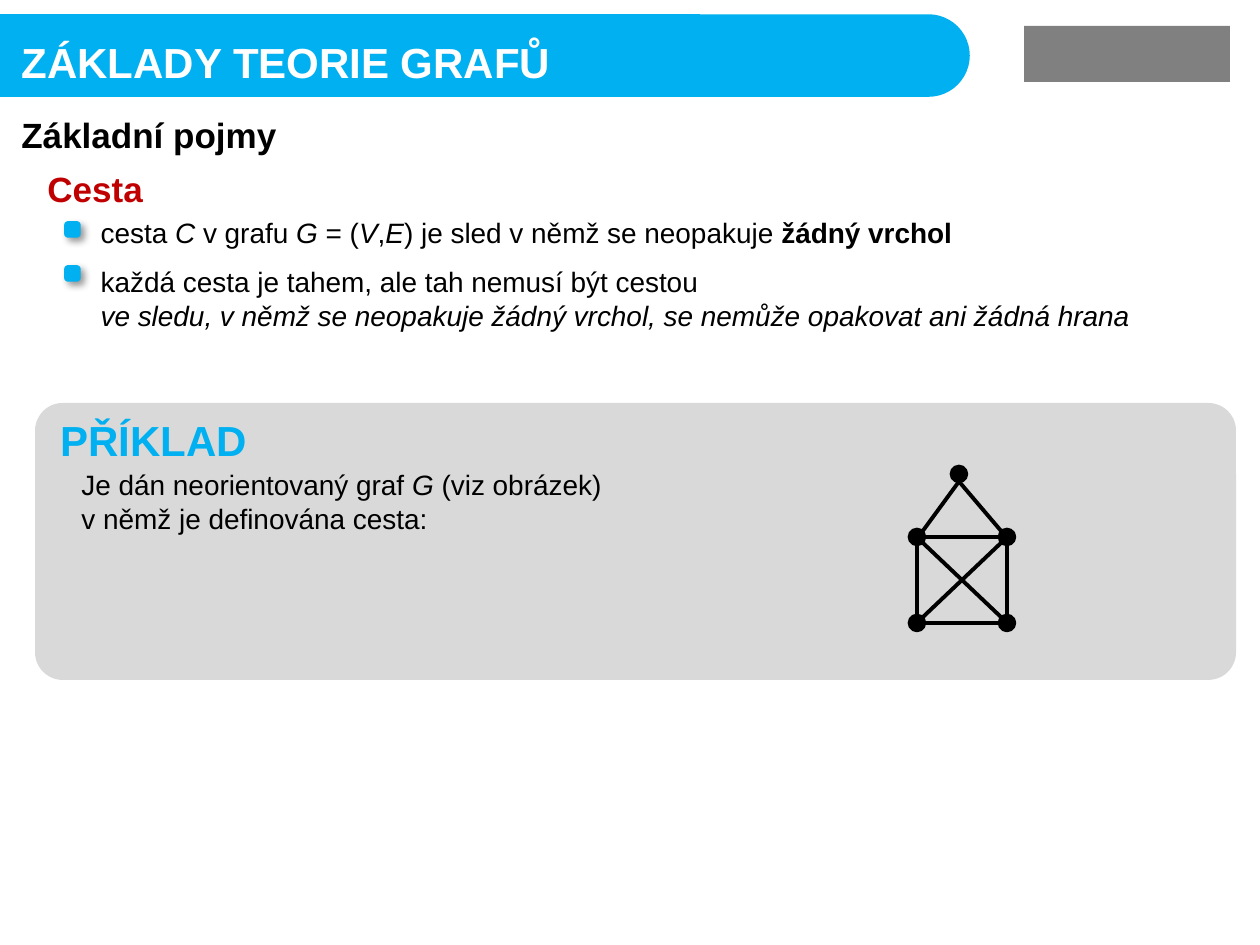
from lxml.etree import SubElement
from pptx import Presentation
from pptx.dml.color import RGBColor
from pptx.enum.shapes import MSO_CONNECTOR, MSO_SHAPE
from pptx.enum.text import MSO_ANCHOR, MSO_AUTO_SIZE, PP_ALIGN
from pptx.oxml.ns import qn
from pptx.util import Inches, Pt

PX = Inches(1) / 126
COLORS = {"blue": "00B0F0", "red": "C00000", "panel": "D9D9D9",
          "black": "000000", "white": "FFFFFF", "logo": "808080"}
DIAGONAL = 0.71


def px(*values):
    return [round(v * PX) for v in values]


def rgb(name):
    return RGBColor.from_string(COLORS[name])


def write(tf, paras, size=16, color="black", bold=False, anchor=MSO_ANCHOR.TOP,
          wrap=True, gap=0):
    """Fill tf with paragraphs, each a list of (text, style) with style "", "b" or "i"."""
    tf.auto_size = MSO_AUTO_SIZE.NONE
    tf.word_wrap = wrap
    tf.vertical_anchor = anchor
    for i, runs in enumerate(paras):
        p = tf.add_paragraph() if i else tf.paragraphs[0]
        pPr = p._p.get_or_add_pPr()
        pPr.set("marL", "0")
        pPr.set("indent", "0")
        SubElement(pPr, qn("a:buNone"))
        p.alignment = PP_ALIGN.LEFT
        p.space_before = Pt(gap if i else 0)
        for text, style in runs:
            if text == "\n":
                p.add_line_break()
                continue
            r = p.add_run()
            r.text = text
            r.font.name = "Arial"
            r.font.size = Pt(size)
            r.font.color.rgb = rgb(color)
            r.font.bold = bold or style == "b"
            r.font.italic = style == "i"


def place(sp, *box):
    sp.left, sp.top, sp.width, sp.height = px(*box)


def add_text(s, box, paras, **fmt):
    write(s.shapes.add_textbox(*px(*box)).text_frame, paras, **fmt)


def add_box(s, kind, box, color, line=0, adj=None):
    sp = s.shapes.add_shape(kind, *px(*box))
    sp.shadow.inherit = False
    sp.fill.solid()
    sp.fill.fore_color.rgb = rgb(color)
    if line:
        sp.line.color.rgb = rgb(color)
        sp.line.width = Pt(line)
    else:
        sp.line.fill.background()
    if adj is not None:
        sp.adjustments[0] = adj
    return sp


def add_header(s, x, y, w, h):
    banner = add_box(s, MSO_SHAPE.ROUNDED_RECTANGLE, (x, y, w, h), "blue", 2, 0.5)
    title = s.shapes.title
    title.element.addprevious(banner.element)
    place(title, x + 53, y + 14, 559, 63)
    write(title.text_frame, [[("ZÁKLADY TEORIE GRAFŮ", "")]],
          size=24, color="white", bold=True, wrap=False)
    add_box(s, MSO_SHAPE.RECTANGLE, (x + 1068, y + 10, 206, 56), "logo")


def add_bullet(s, x, y):
    sp = add_box(s, MSO_SHAPE.ROUNDED_RECTANGLE, (x, y, 13, 13), "blue", 2)
    effects = sp._element.spPr.find(qn("a:effectLst"))
    shadow = SubElement(effects, qn("a:outerShdw"), blurRad=str(Pt(4)),
                        dist=str(Pt(3)), dir="2700000", algn="tl", rotWithShape="0")
    color = SubElement(shadow, qn("a:srgbClr"), val=COLORS["black"])
    SubElement(color, qn("a:alpha"), val="40000")


def add_definitions(s, x, y):
    add_text(s, (x, y, 740, 55), [[("Základní pojmy", "")]],
             size=20, bold=True, anchor=MSO_ANCHOR.MIDDLE)
    add_text(s, (x + 26, y + 54, 122, 55), [[("Cesta", "")]],
             size=20, color="red", bold=True, anchor=MSO_ANCHOR.MIDDLE, wrap=False)
    body = s.placeholders[1]
    place(body, x + 79, y + 102, 1172, 128)
    write(body.text_frame, [
        [("cesta ", ""), ("C", "i"), (" v grafu ", ""), ("G", "i"), (" = (", ""),
         ("V", "i"), (",", ""), ("E", "i"),
         (") je sled v němž se neopakuje ", ""), ("žádný vrchol", "b")],
        [("každá cesta je tahem, ale tah nemusí být cestou", ""), ("\n", ""),
         ("ve sledu, v němž se neopakuje žádný vrchol, "
          "se nemůže opakovat ani žádná hrana", "i")],
    ], gap=9)
    for dy in (116, 160):
        add_bullet(s, x + 57, y + dy)


def add_graph(s, x, y, w, h, roof):
    """Draw a w by h square with both diagonals, and an apex roof px above it."""
    radius = 7.5
    nodes = {"apex": (x + 42, y), "tl": (x, y + roof), "tr": (x + w, y + roof),
             "bl": (x, y + roof + h), "br": (x + w, y + roof + h)}
    for cx, cy in nodes.values():
        add_box(s, MSO_SHAPE.OVAL,
                (cx - radius, cy - radius, 2 * radius, 2 * radius), "black", 2)

    def rim(node, dx, dy):
        k = radius * (DIAGONAL if dx and dy else 1)
        return nodes[node][0] + dx * k, nodes[node][1] + dy * k

    # Each edge: start node, its rim direction, end node, its rim direction
    edges = [("apex", (0, 1), "tl", (1, -1)), ("apex", (0, 1), "tr", (-1, -1)),
             ("tl", (1, 0), "tr", (-1, 0)), ("tl", (0, 1), "bl", (0, -1)),
             ("bl", (1, 0), "br", (-1, 0)), ("br", (0, -1), "tr", (0, 1)),
             ("bl", (1, -1), "tr", (-1, 1)), ("tl", (1, 1), "br", (-1, -1))]
    for a, a_dir, b, b_dir in edges:
        edge = s.shapes.add_connector(MSO_CONNECTOR.STRAIGHT,
                                      *px(*rim(a, *a_dir), *rim(b, *b_dir)))
        edge.line.color.rgb = rgb("black")
        edge.line.width = Pt(2.25)
        SubElement(edge._element.spPr, qn("a:effectLst"))


def add_example(s, x, y, w, h):
    add_box(s, MSO_SHAPE.ROUNDED_RECTANGLE, (x, y, w, h), "panel", adj=0.1)
    add_text(s, (x + 13, y + 5, 226, 63), [[("PŘÍKLAD", "")]],
             size=24, color="blue", bold=True, wrap=False)
    add_text(s, (x + 34, y + 58, 639, 81), [
        [("Je dán neorientovaný graf ", ""), ("G", "i"), (" (viz obrázek)", "")],
        [("v němž je definována cesta:", "")],
    ], anchor=MSO_ANCHOR.MIDDLE)
    add_graph(s, x + 882, y + 71, w=90, h=86, roof=63)


def main():
    prs = Presentation()
    prs.slide_width, prs.slide_height = Inches(10), Inches(7.5)
    s = prs.slides.add_slide(prs.slide_layouts[1])
    add_header(s, -44, 16, 1012, 79)
    add_definitions(s, 9, 107)
    add_example(s, 35, 403, 1201, 277)
    prs.save("out.pptx")


if __name__ == "__main__":
    main()
